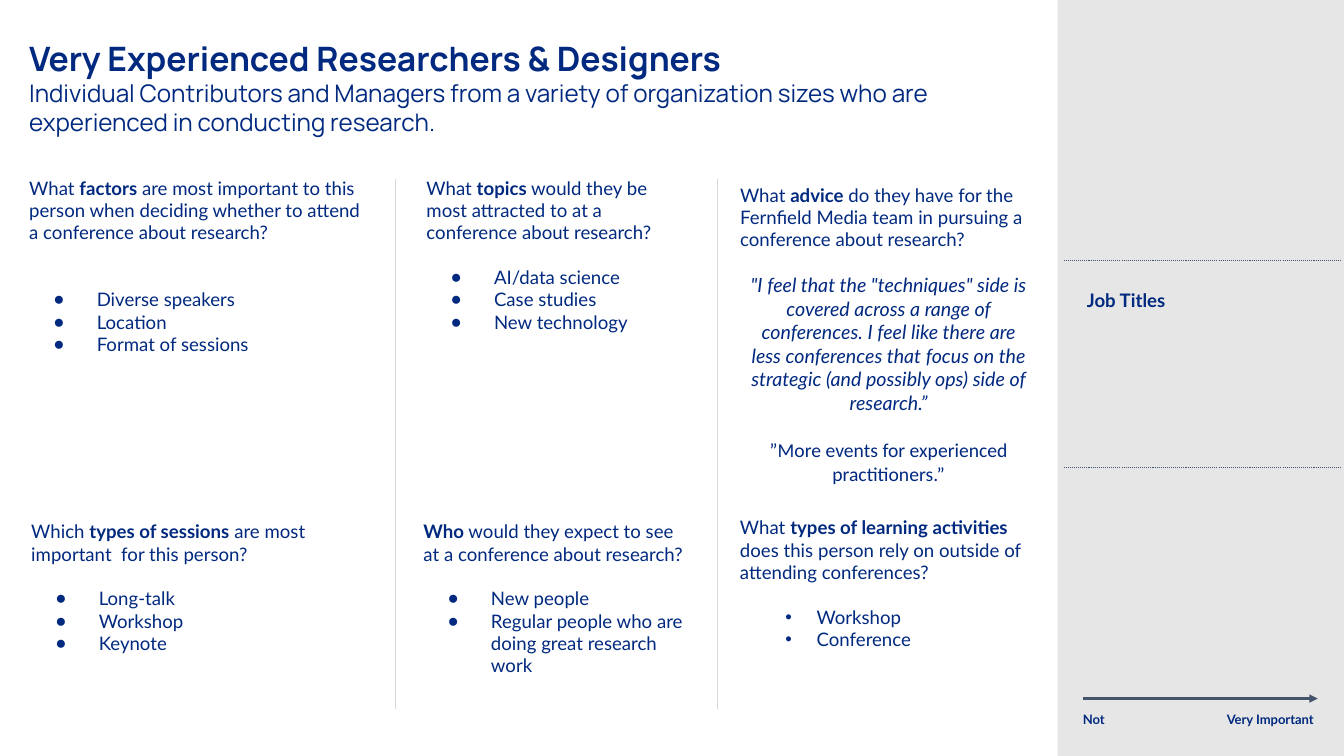
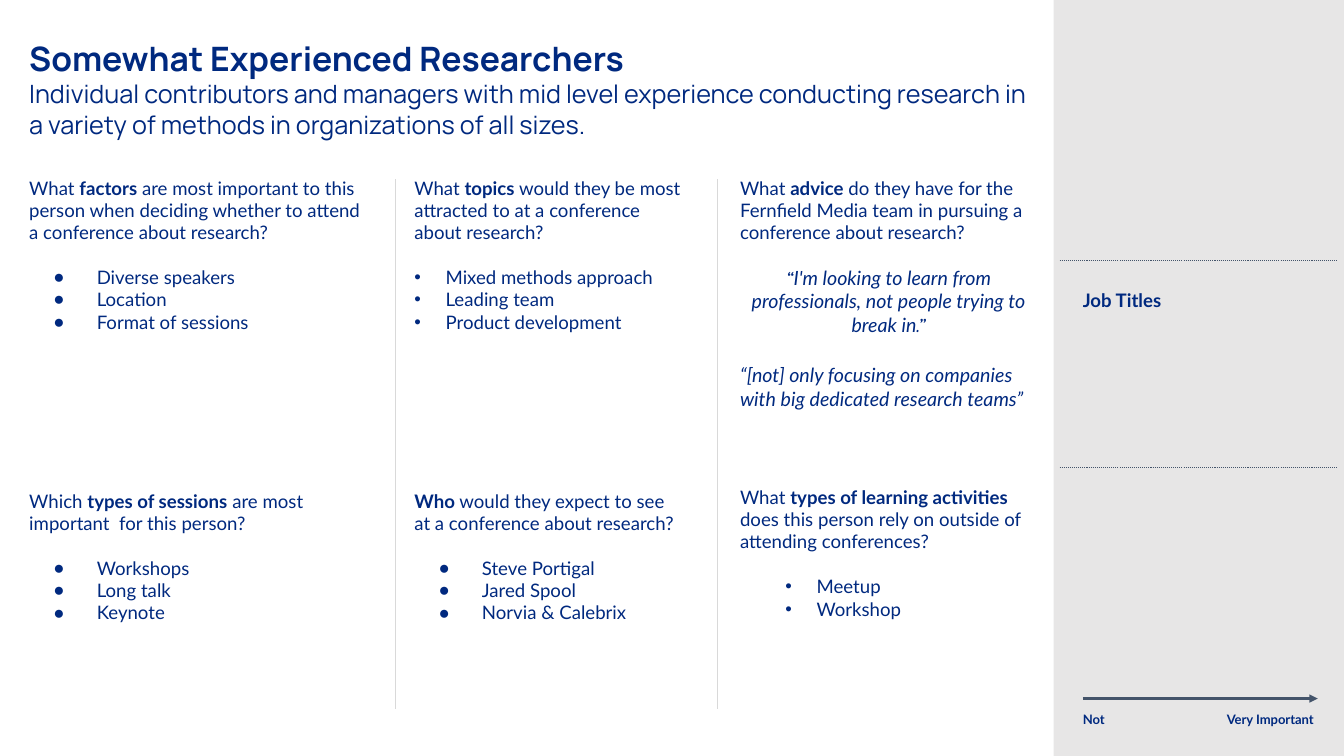
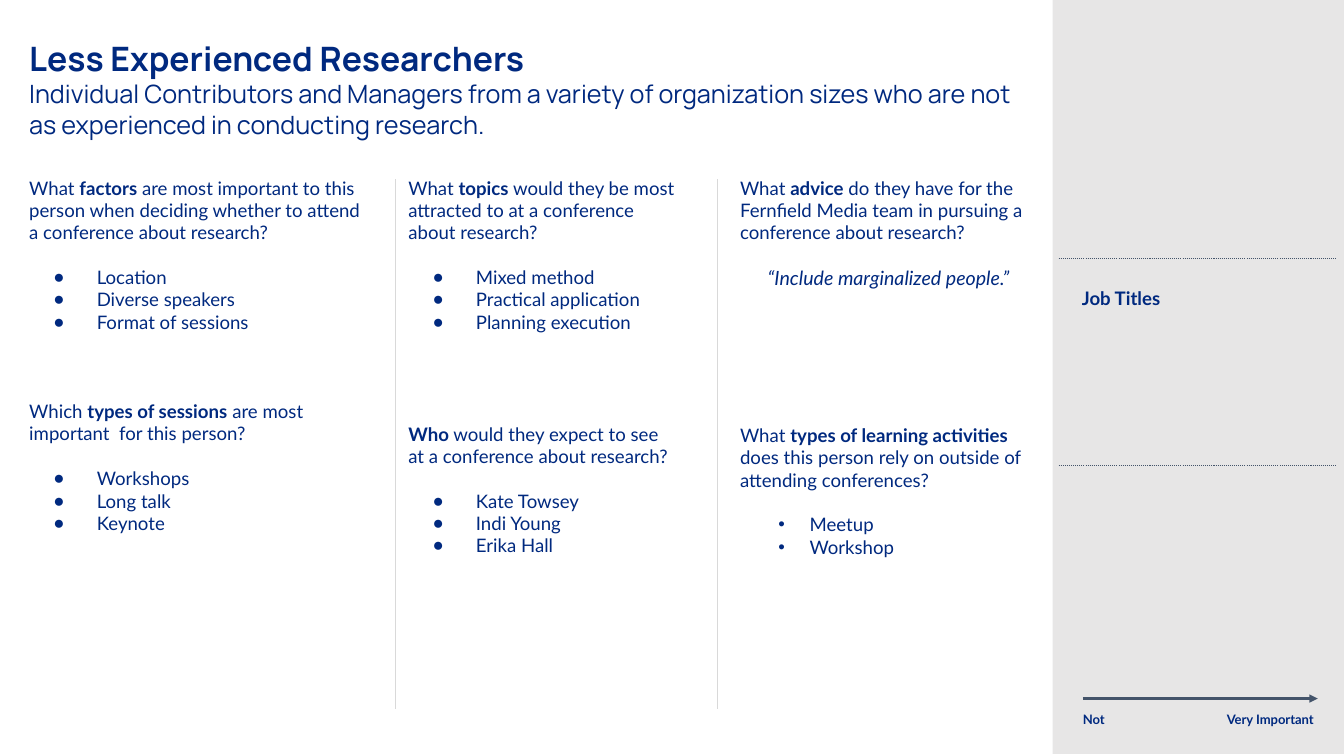
from dataclasses import dataclass, replace

from lxml.etree import SubElement
from pptx import Presentation
from pptx.dml.color import RGBColor
from pptx.enum.dml import MSO_LINE_DASH_STYLE as Dash
from pptx.enum.shapes import MSO_CONNECTOR as Connector, MSO_SHAPE as Preset
from pptx.enum.text import MSO_ANCHOR as Anchor, MSO_AUTO_SIZE as AutoSize, PP_ALIGN as Align
from pptx.oxml.ns import qn
from pptx.util import Inches, Pt

CELL = Inches(0.1)  # the slide is a grid of 133.3 columns by 75 rows


@dataclass(frozen=True)
class Theme:
    """Colours, fonts and type sizes of the deck."""
    ink: RGBColor = RGBColor(0x00, 0x29, 0x7F)
    panel: RGBColor = RGBColor(0xE7, 0xE6, 0xE6)
    divider: RGBColor = RGBColor(0xD9, 0xD9, 0xD9)
    slate: RGBColor = RGBColor(0x44, 0x54, 0x6A)
    heading_font: str = "Manrope"
    body_font: str = "Lato"
    heading: float = 24
    summary: float = 18
    body: float = 13.3
    quote: float = 14
    label: float = 9.3
    inset: float = 1.3
    blank: float = 16  # one empty line of body text, in points


THEME = Theme()


@dataclass(frozen=True)
class Style:
    """Look of one paragraph; margin and hang are in cells."""
    size: float = THEME.body
    font: str = THEME.body_font
    bold: bool = False
    italic: bool = False
    align: Align = Align.LEFT
    margin: float = 0
    hang: float = 0
    bullet: str = ""
    spacing: float = 1.0
    marked_font: str = ""


HEADING = Style(THEME.heading, THEME.heading_font, bold=True)
SUMMARY = Style(THEME.summary, THEME.heading_font)
QUESTION = Style()
DISC = Style(margin=6.7, hang=4.3, bullet="●")
DOT = Style(margin=7.6, hang=3.1, bullet="•")
REMARK = Style(THEME.quote, italic=True)
QUOTE = replace(REMARK, align=Align.CENTER, margin=0.8, marked_font="Cambria")
PLAIN_QUOTE = replace(QUOTE, font="Calibri", italic=False)
SIDE_HEADING = Style(bold=True, spacing=1.5)
LABEL = Style(THEME.label, bold=True)


@dataclass(frozen=True)
class Line:
    """One paragraph; words between bars are emphasised."""
    text: str
    style: Style = QUESTION
    before: float = 0


@dataclass(frozen=True)
class Box:
    """An area of the slide, in grid cells."""
    left: float
    top: float
    width: float
    height: float

    def area(self, across, down, width, height):
        """Return an area placed relative to this one."""
        return Box(self.left + across, self.top + down, width, height)

    def emu(self):
        """Return the four lengths for python-pptx."""
        return [round(n * CELL) for n in (self.left, self.top, self.width, self.height)]


def write(frame, lines):
    """Fill a text frame with styled paragraphs."""
    frame.word_wrap = True
    frame.auto_size = AutoSize.NONE
    frame.vertical_anchor = Anchor.TOP
    inset = round(THEME.inset * CELL)
    frame.margin_left = frame.margin_right = frame.margin_top = frame.margin_bottom = inset
    for number, line in enumerate(lines):
        style = line.style
        para = frame.add_paragraph() if number else frame.paragraphs[0]
        para.alignment = style.align
        para.line_spacing = style.spacing
        para.space_before, para.space_after = Pt(line.before), Pt(0)
        props = para._p.get_or_add_pPr()
        props.set("marL", str(round(style.margin * CELL)))
        props.set("indent", str(round(-style.hang * CELL)))
        if style.bullet:
            SubElement(props, qn("a:buFont"), typeface="Arial")
            SubElement(props, qn("a:buChar"), char=style.bullet)
        else:
            SubElement(props, qn("a:buNone"))
        for index, words in enumerate(line.text.split("|")):
            if not words:
                continue
            marked = index % 2 == 1
            run = para.add_run()
            run.text = words
            font = run.font
            font.name = marked and style.marked_font or style.font
            font.size = Pt(style.size)
            font.bold = style.bold or (marked and not style.marked_font)
            font.italic = style.italic
            font.color.rgb = THEME.ink


def add_text(shapes, box, *lines):
    """Add a text box."""
    write(shapes.add_textbox(*box.emu()).text_frame, lines)


def add_rule(shapes, box, colour, weight=0.75, dash=None, arrow=False):
    """Draw a straight line from the start of a box to its far corner."""
    left, top, width, height = box.emu()
    rule = shapes.add_connector(Connector.STRAIGHT, left, top, left + width, top + height)
    rule.line.color.rgb = colour
    rule.line.width = Pt(weight)
    if dash:
        rule.line.dash_style = dash
    outline = rule._element.spPr
    if arrow:
        SubElement(outline.find(qn("a:ln")), qn("a:tailEnd"), type="triangle")
    SubElement(outline, qn("a:effectLst"))


def place(holder, box, lines):
    """Move a placeholder to a box and fill it."""
    holder.left, holder.top, holder.width, holder.height = box.emu()
    write(holder.text_frame, lines)


def add_panels(slide, panels):
    """Put the question panels in body placeholders, then in text boxes."""
    holders = [h for h in slide.placeholders if h.placeholder_format.idx]
    for number, (box, lines) in enumerate(panels):
        if number < len(holders):
            place(holders[number], box, lines)
        else:
            add_text(slide.shapes, box, *lines)
    for spare in holders[len(panels):]:
        spare._element.getparent().remove(spare._element)


def add_sidebar(slide, box):
    """Draw the grey side panel with its heading and dotted rules."""
    shapes = slide.shapes.add_group_shape().shapes
    panel = shapes.add_shape(Preset.RECTANGLE, *box.emu())
    panel.shadow.inherit = False
    panel.fill.solid()
    panel.fill.fore_color.rgb = THEME.panel
    panel.line.fill.background()
    add_text(shapes, box.area(1.6, 26.3, 26.3, 7.9), Line("Job Titles", SIDE_HEADING))
    for down in (25.8, 46.4):
        add_rule(shapes, box.area(0.6, down, 27.6, 0), THEME.slate, dash=Dash.ROUND_DOT)


def add_scale(slide, box):
    """Draw the importance arrow with a label at each end."""
    add_rule(slide.shapes, box.area(1.3, 0, 23.3, 0), THEME.slate, 1.5, arrow=True)
    add_text(slide.shapes, box.area(0, 0, 23, 5.7), Line("Not", LABEL))
    add_text(slide.shapes, box.area(12.9, 0, 12.6, 3.1),
             Line("Very Important", replace(LABEL, align=Align.RIGHT)))


def add_persona(deck, heading, summary, panels, sidebar, summary_style=SUMMARY):
    """Build one persona slide."""
    slide = deck.slides.add_slide(deck.slide_layouts.get_by_name("Comparison"))
    place(slide.shapes.title, Box(1.6, 2.5, sidebar.left - 1.6, 13.6),
          [Line(heading, HEADING), Line(summary, summary_style)])
    add_panels(slide, panels)
    for across in (39.2, 71.2):
        add_rule(slide.shapes, Box(across, 17.8, 0, 52.5), THEME.divider)
    add_sidebar(slide, sidebar)
    add_scale(slide, Box(106.1, 69.3, 25.5, 5.7))


def blanks(count):
    """Return the height of some empty body lines, in points."""
    return count * THEME.blank


def bullets(*items, style=DISC, gap=1):
    """Return a list that starts after a gap of empty lines."""
    return [Line(item, style, 0 if n else blanks(gap)) for n, item in enumerate(items)]


def ask(question, answers, before=0):
    """Return a question followed by its answers."""
    return [Line(question, before=before), *answers]


FACTORS = ("What |factors| are most important to this person when deciding "
           "whether to attend a conference about research?")
TOPICS = "What |topics| would they be most attracted to at a conference about research?"
ADVICE = ("What |advice| do they have for the Fernfield Media team in pursuing "
          "a conference about research?")
SESSIONS = "Which |types of sessions| are most important  for this person?"
WHO = "|Who| would they expect to see at a conference about research?"
LEARNING = ("What |types of learning activities| does this person rely on outside of "
            "attending conferences?")

LEFT_COLUMN = Box(1.6, 16.2, 35.9, 54)
RIGHT_COLUMN = Box(72.1, 16.2, 31.3, 54)

deck = Presentation()
deck.slide_width, deck.slide_height = Inches(13.33), Inches(7.5)

add_persona(
    deck, "Very Experienced Researchers & Designers",
    "Individual Contributors and Managers from a variety of organization sizes "
    "who are experienced in conducting research.",
    [
        (Box(1.6, 16.2, 35.9, 24.1),
         ask(FACTORS, bullets("Diverse speakers", "Location", "Format of sessions", gap=2))),
        (Box(41, 16.2, 29, 24.1),
         ask(TOPICS, bullets("AI/data science", "Case studies", "New technology"))),
        (Box(72.1, 16.9, 31.3, 32.3), ask(ADVICE, [
            Line('"I feel that the "techniques" side is covered across a range of conferences. '
                 "I feel like there are less conferences that focus on the strategic "
                 "(and possibly ops) side of research.”", QUOTE, blanks(1)),
            Line("”More events for experienced practitioners.”", PLAIN_QUOTE, 17)])),
        (Box(1.8, 50.3, 35.9, 17.4),
         ask(SESSIONS, bullets("Long-talk", "Workshop", "Keynote"))),
        (Box(40.7, 50.3, 29, 17.4),
         ask(WHO, bullets("New people", "Regular people who are doing great research work"))),
        (Box(72.1, 49.9, 31.3, 21.4),
         ask(LEARNING, bullets("Workshop", "Conference", style=DOT))),
    ],
    Box(104.9, 0, 29, 75), replace(SUMMARY, size=17.3))

add_persona(
    deck, "Somewhat Experienced Researchers",
    "Individual contributors and managers with mid level experience conducting research "
    "in a variety of methods in organizations of all sizes.",
    [
        (LEFT_COLUMN,
         ask(FACTORS, bullets("Diverse speakers", "Location", "Format of sessions"))
         + ask(SESSIONS, bullets("Workshops", "Long talk", "Keynote"), blanks(7))),
        (Box(39.8, 16.2, 29.2, 54),
         ask(TOPICS, bullets("Mixed methods approach", "Leading team", "Product development",
                             style=replace(DOT, margin=3.1)))
         + ask(WHO, bullets("Steve Portigal", "Jared Spool", "Norvia & Calebrix"), blanks(7))),
        (RIGHT_COLUMN,
         ask(ADVICE, [
             Line("|“|I'm looking to learn from professionals, not people trying to "
                  "break in|.”|", QUOTE, blanks(1)),
             Line("“[not] only focusing on companies with big dedicated research teams”",
                  REMARK, 19)])
         + ask(LEARNING, bullets("Meetup", "Workshop", style=DOT), 54)),
    ],
    Box(104.5, 0, 29, 75))

add_persona(
    deck, "Less Experienced Researchers",
    "Individual Contributors and Managers from a variety of organization sizes "
    "who are not as experienced in conducting research.",
    [
        (LEFT_COLUMN,
         ask(FACTORS, bullets("Location", "Diverse speakers", "Format of sessions"))
         + ask(SESSIONS, bullets("Workshops", "Long talk", "Keynote"), blanks(3))),
        (Box(39.2, 16.2, 29.3, 54),
         ask(TOPICS, bullets("Mixed method", "Practical application", "Planning execution"))
         + ask(WHO, bullets("Kate Towsey", "Indi Young", "Erika Hall"), blanks(4))),
        (RIGHT_COLUMN,
         ask(ADVICE, [Line("“Include marginalized people.”", QUOTE, blanks(1))])
         + ask(LEARNING, bullets("Meetup", "Workshop", style=replace(DOT, margin=6.9)),
               blanks(6))),
    ],
    Box(104.4, -0.2, 29, 75))

deck.save("out.pptx")
